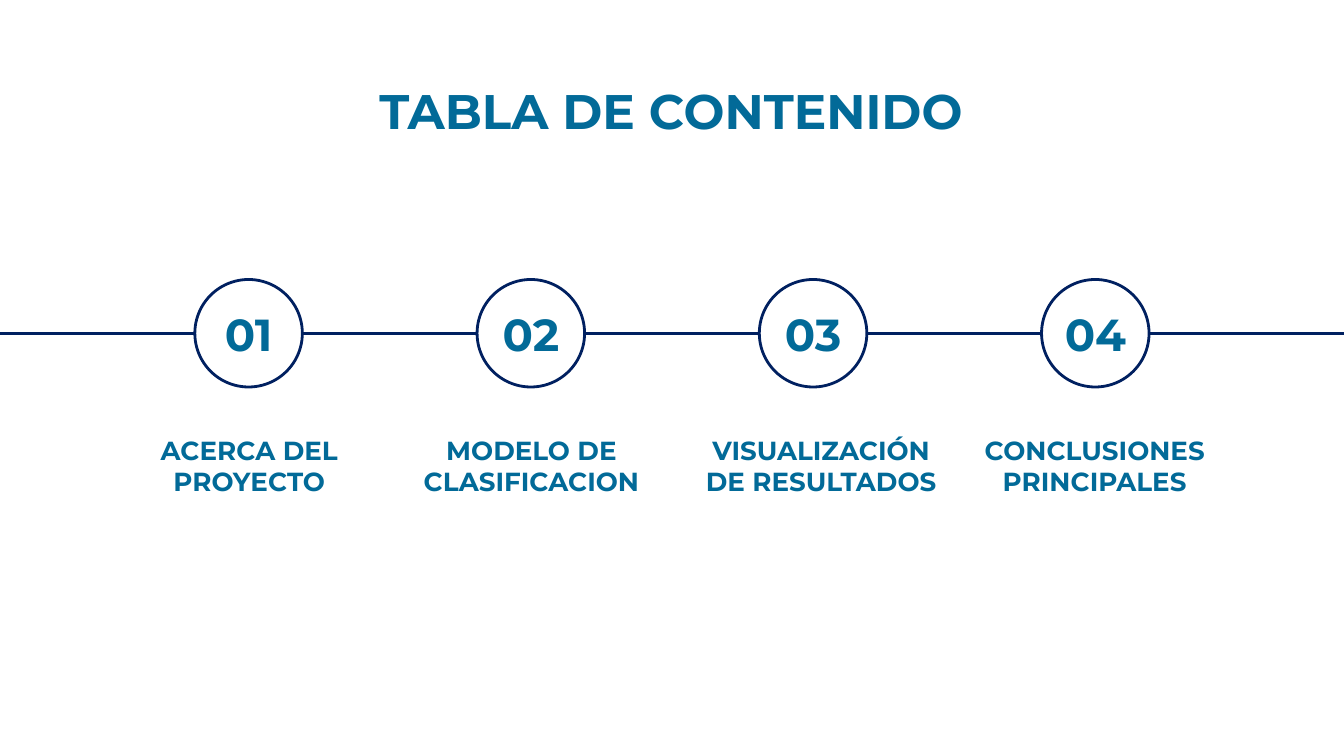
from lxml import etree
from pptx import Presentation
from pptx.dml.color import RGBColor
from pptx.enum.shapes import MSO_CONNECTOR, MSO_SHAPE
from pptx.enum.text import MSO_ANCHOR, MSO_AUTO_SIZE, PP_ALIGN
from pptx.oxml.ns import qn
from pptx.util import Inches, Pt

STRAIGHT, OVAL = MSO_CONNECTOR.STRAIGHT, MSO_SHAPE.OVAL
TOP, MIDDLE = MSO_ANCHOR.TOP, MSO_ANCHOR.MIDDLE
NO_FIT, CENTER = MSO_AUTO_SIZE.NONE, PP_ALIGN.CENTER

TITLE = "TABLA DE CONTENIDO"
SECTIONS = [
    {"label": "ACERCA DEL PROYECTO", "left": 0.93, "width": 1.85},
    {"label": "MODELO DE CLASIFICACION", "left": 3.0, "width": 1.91},
    {"label": "VISUALIZACIÓN DE RESULTADOS", "left": 5.12, "width": 1.98},
    {"label": "CONCLUSIONES PRINCIPALES", "left": 7.22, "width": 1.85},
]
FONT, BLUE, NAVY, WHITE = "Montserrat", "026A98", "002060", "FFFFFF"
WIDTH, OVERHANG = 10, 0.02
HEIGHT = WIDTH * 9 / 16
LINE_Y, DIAMETER = 2.48, 0.8
FIRST_CENTER, PITCH = 1.85, 2.1
NUMBER_WIDTH = 1.85


def color(value):
    """Turn a hex string into a colour."""
    return RGBColor.from_string(value)


def write(box, text, left, top, width, height, size, anchor=TOP):
    """Place a box and fill it with centred bold text."""
    box.left, box.top = Inches(left), Inches(top)
    box.width, box.height = Inches(width), Inches(height)
    frame = box.text_frame
    frame.word_wrap = True
    frame.auto_size = NO_FIT
    frame.vertical_anchor = anchor
    frame.margin_left = frame.margin_right = Inches(0.1)
    frame.margin_top = frame.margin_bottom = Inches(0.1)
    para = frame.paragraphs[0]
    para.alignment = CENTER
    span = para.add_run()
    span.text = text
    span.font.name, span.font.size, span.font.bold = FONT, Pt(size), True
    span.font.color.rgb = color(BLUE)


def outline(shape):
    """Give a shape or connector the navy line."""
    shape.line.color.rgb = color(NAVY)
    shape.line.width = Pt(1.5)


def add_timeline(page):
    """Draw the horizontal line across the page."""
    timeline = page.shapes.add_connector(
        STRAIGHT, Inches(-OVERHANG), Inches(LINE_Y),
        Inches(WIDTH + OVERHANG), Inches(LINE_Y))
    outline(timeline)
    etree.SubElement(timeline._element.spPr, qn("a:effectLst"))


def add_circle(page, center):
    """Draw one white circle on the line."""
    circle = page.shapes.add_shape(
        OVAL, Inches(center - DIAMETER / 2), Inches(LINE_Y - DIAMETER / 2),
        Inches(DIAMETER), Inches(DIAMETER))
    circle.shadow.inherit = False
    circle.fill.solid()
    circle.fill.fore_color.rgb = color(WHITE)
    outline(circle)


def add_text(page, text, **layout):
    """Add a text box with the given place and format."""
    write(page.shapes.add_textbox(0, 0, 0, 0), text, **layout)


def main():
    """Build the contents slide."""
    deck = Presentation()
    deck.slide_width, deck.slide_height = Inches(WIDTH), Inches(HEIGHT)
    page = deck.slides.add_slide(deck.slide_layouts[5])
    write(page.shapes.title, TITLE, left=0.89, top=0.5, width=8.21,
          height=0.63, size=26)
    add_timeline(page)
    for index, section in enumerate(SECTIONS):
        center = FIRST_CENTER + index * PITCH
        add_circle(page, center)
        add_text(page, f"{index + 1:02}", left=center - NUMBER_WIDTH / 2,
                 top=2.21, width=NUMBER_WIDTH, height=0.55, size=24,
                 anchor=MIDDLE)
        add_text(page, section["label"], left=section["left"], top=3.13,
                 width=section["width"], height=0.63, size=14)
    deck.save("out.pptx")


if __name__ == "__main__":
    main()
